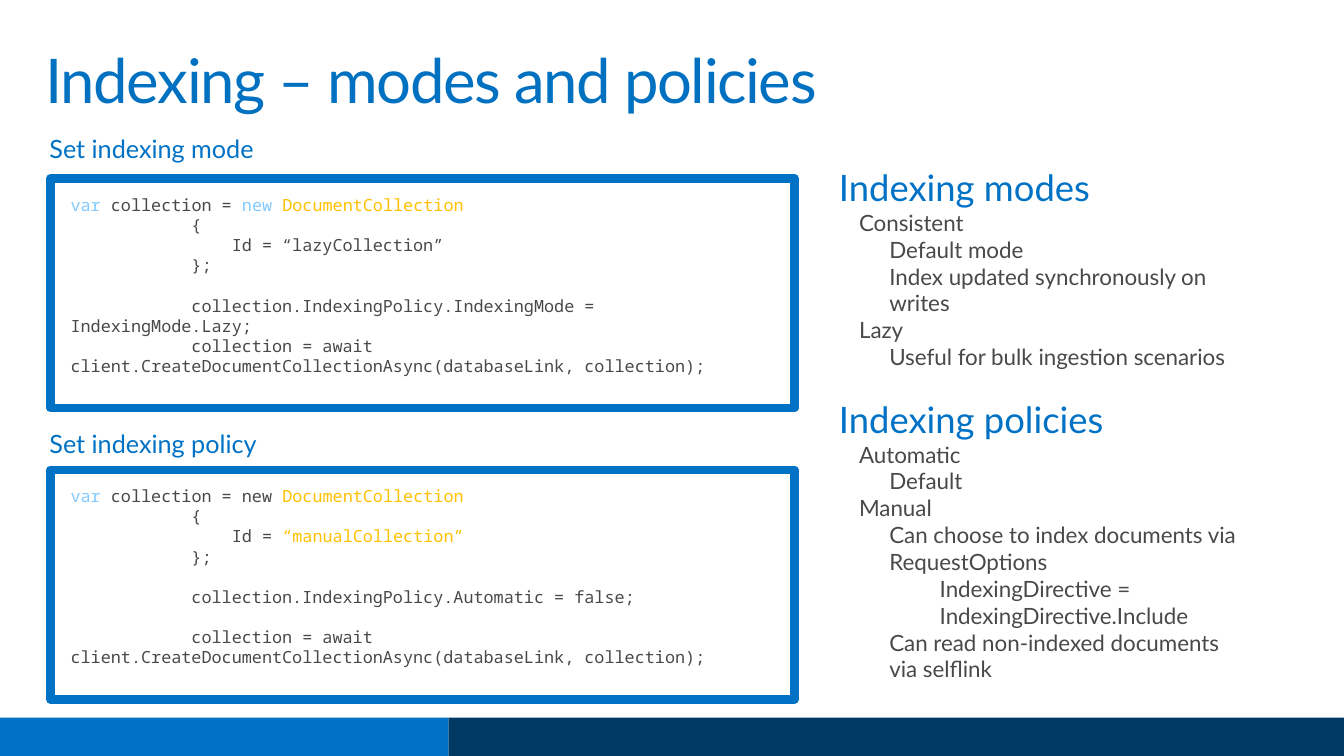
"""Build a slide on indexing modes and policies, with two code samples."""
import dataclasses

import pptx
import pptx.dml.color
import pptx.enum.shapes
import pptx.enum.text
import pptx.util

Inches = pptx.util.Inches
Pt = pptx.util.Pt
Color = pptx.dml.color.RGBColor.from_string


@dataclasses.dataclass(frozen=True)
class Theme:
    font: str = "Lato"
    code_font: str = "Noto Sans Mono"
    title_blue: Color = Color("0070C0")
    blue: Color = Color("0072C6")
    navy: Color = Color("003963")
    gray: Color = Color("494949")
    keyword: Color = Color("82CAFF")
    type_name: Color = Color("FFC000")
    white: Color = Color("FFFFFF")
    title_size: Pt = Pt(44)
    heading_size: Pt = Pt(26)
    label_size: Pt = Pt(18)
    body_size: Pt = Pt(16)
    code_size: Pt = Pt(12)
    code_line: Pt = Pt(14.4)


theme = Theme()


def prepare_frame(shape, horizontal=0.2, vertical=0.16):
    frame = shape.text_frame
    frame.word_wrap = True
    frame.auto_size = pptx.enum.text.MSO_AUTO_SIZE.NONE
    frame.vertical_anchor = pptx.enum.text.MSO_ANCHOR.TOP
    frame.margin_left = frame.margin_right = Inches(horizontal)
    frame.margin_top = frame.margin_bottom = Inches(vertical)
    return frame


def add_rectangle(left, top, width, height, fill):
    shape = slide.shapes.add_shape(
        pptx.enum.shapes.MSO_SHAPE.RECTANGLE,
        Inches(left), Inches(top), Inches(width), Inches(height))
    shape.shadow.inherit = False
    shape.fill.solid()
    shape.fill.fore_color.rgb = fill
    shape.line.fill.background()
    return shape


presentation = pptx.Presentation()
presentation.slide_width = Inches(13.33)
presentation.slide_height = Inches(7.5)
slide = presentation.slides.add_slide(presentation.slide_layouts[5])

add_rectangle(0, 7.12, 4.45, 0.38, theme.blue)
add_rectangle(4.45, 7.12, 8.88, 0.38, theme.navy)

title = slide.shapes.title
title.left, title.top = Inches(0.29), Inches(0.4)
title.width, title.height = Inches(12.75), Inches(0.98)
paragraph = prepare_frame(title, 0.16, 0.1).paragraphs[0]
paragraph.alignment = pptx.enum.text.PP_ALIGN.LEFT
paragraph.line_spacing = 0.9
paragraph.font.name = theme.font
paragraph.font.size = theme.title_size
paragraph.font.color.rgb = theme.title_blue
run = paragraph.add_run()
run.text = "Indexing – modes and policies"
run.font._element.set("spc", "-100")

outline = [
    (0, "Indexing modes"),
    (0.2, "Consistent"),
    (0.5, "Default mode"),
    (0.5, "Index updated synchronously on writes"),
    (0.2, "Lazy"),
    (0.5, "Useful for bulk ingestion scenarios"),
    (0, "Indexing policies"),
    (0.2, "Automatic"),
    (0.5, "Default"),
    (0.2, "Manual"),
    (0.5, "Can choose to index documents via RequestOptions"),
    (1, "IndexingDirective = IndexingDirective.Include"),
    (0.5, "Can read non-indexed documents via selflink"),
]
levels = {0: 0, 0.2: 0, 0.5: 1, 1: 2}
outline_box = slide.shapes.add_textbox(
    Inches(8.12), Inches(1.48), Inches(4.45), Inches(5.68))
frame = prepare_frame(outline_box)
for index, (indent, text) in enumerate(outline):
    paragraph = frame.paragraphs[0] if index == 0 else frame.add_paragraph()
    is_heading = indent == 0
    paragraph.text = text
    paragraph.level = levels[indent]
    paragraph._p.get_or_add_pPr().set("marL", str(Inches(indent)))
    if is_heading and index > 0:
        paragraph.space_before = Pt(19.2)
    paragraph.font.name = theme.font
    paragraph.font.size = theme.heading_size if is_heading else theme.body_size
    paragraph.font.color.rgb = theme.blue if is_heading else theme.gray

margin = " " * 12
opening = margin + "{"
closing = margin + "};"
create_call = (margin + "collection = await "
               "client.CreateDocumentCollectionAsync(databaseLink, collection);")
samples = [
    ("Set indexing mode", 1.2, 1.77, [
        (0, [("var ", theme.keyword), ("collection = ", theme.gray),
             ("new ", theme.keyword), ("DocumentCollection", theme.type_name)]),
        (0, [(opening, theme.gray)]),
        (0, [(margin + "    Id = “lazyCollection”", theme.gray)]),
        (0, [(closing, theme.gray)]),
        (1, [(margin + "collection.IndexingPolicy.IndexingMode = IndexingMode.Lazy;",
              theme.gray)]),
        (0, [(create_call, theme.gray)]),
    ]),
    ("Set indexing policy", 4.12, 4.66, [
        (0, [("var ", theme.keyword), ("collection = new ", theme.gray),
             ("DocumentCollection", theme.type_name)]),
        (0, [(opening, theme.gray)]),
        (0, [(margin + "    Id = ", theme.gray),
             ("“manualCollection”", theme.type_name)]),
        (0, [(closing, theme.gray)]),
        (1, [(margin + "collection.IndexingPolicy.Automatic = false;", theme.gray)]),
        (1, [(create_call, theme.gray)]),
    ]),
]
for label, label_top, code_top, lines in samples:
    label_box = slide.shapes.add_textbox(
        Inches(0.29), Inches(label_top), Inches(6.72), Inches(0.6))
    paragraph = prepare_frame(label_box).paragraphs[0]
    paragraph.text = label
    paragraph.line_spacing = 0.9
    paragraph.font.name = theme.font
    paragraph.font.size = theme.label_size
    paragraph.font.color.rgb = theme.blue

    code_box = add_rectangle(0.5, code_top, 7.38, 2.28, theme.white)
    code_box.line.color.rgb = theme.blue
    code_box.line.width = Pt(6)
    frame = prepare_frame(code_box)
    for index, (gap_lines, spans) in enumerate(lines):
        paragraph = frame.paragraphs[0] if index == 0 else frame.add_paragraph()
        paragraph.alignment = pptx.enum.text.PP_ALIGN.LEFT
        paragraph.line_spacing = theme.code_line
        if gap_lines:
            paragraph.space_before = theme.code_line
        paragraph.font.name = theme.code_font
        paragraph.font.size = theme.code_size
        for text, color in spans:
            run = paragraph.add_run()
            run.text = text
            run.font.color.rgb = color

presentation.save("out.pptx")
